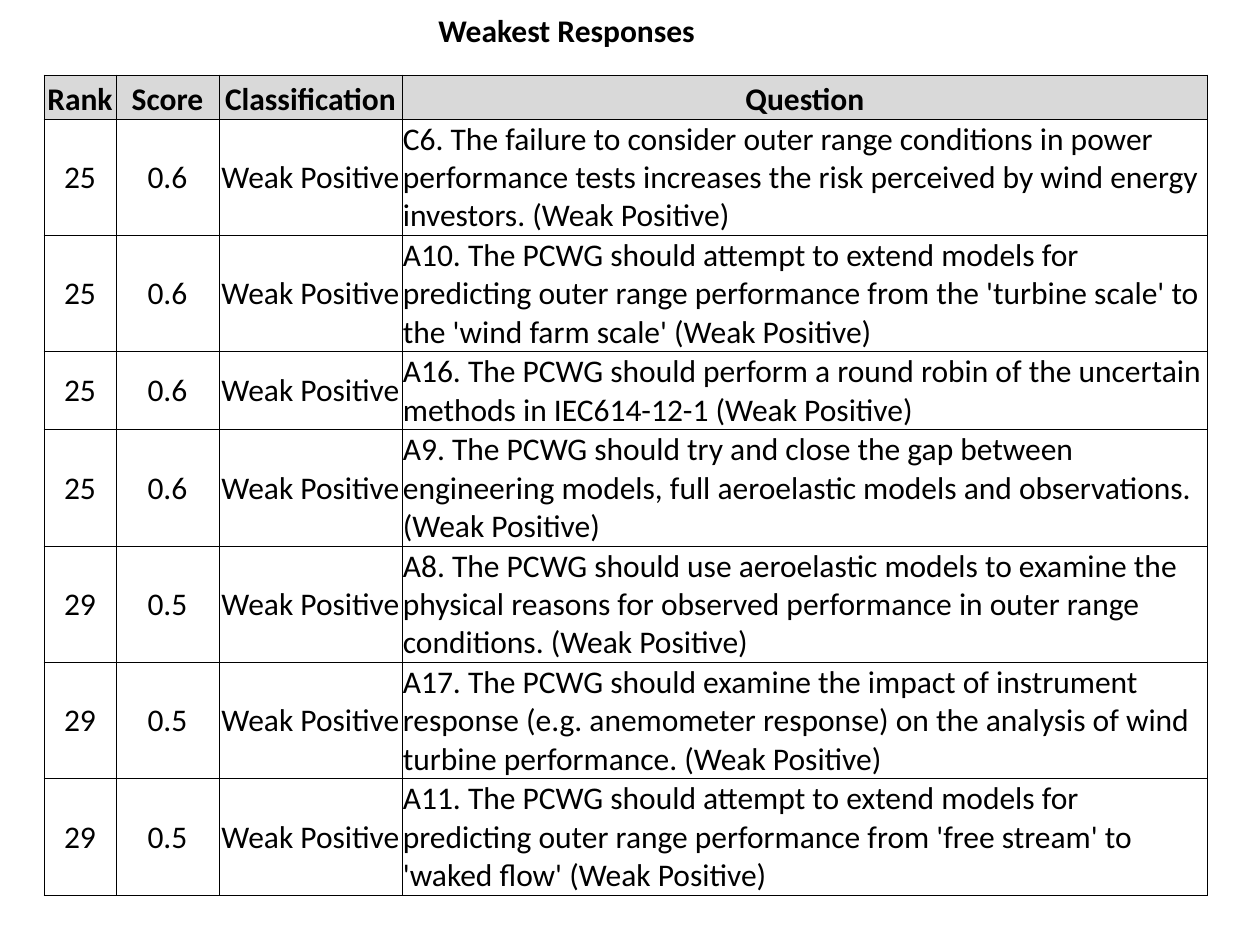
from lxml import etree
from pptx import Presentation
from pptx import util as u
from pptx.dml.color import RGBColor
from pptx.enum import text
from pptx.oxml import ns

PX = u.Inches(1) // 126
FONT = dict(name="Calibri", size=u.Pt(18))
INSETS = dict(margin_left=PX, margin_right=PX, margin_top=PX, margin_bottom=0)


def color(value):
    return RGBColor.from_string(value)


def write(frame, words, bold, align):
    line = frame.paragraphs[0]
    line.alignment = align
    run = line.add_run()
    run.text = words
    for key, value in dict(FONT, bold=bold).items():
        setattr(run.font, key, value)
    run.font.color.rgb = color("000000")


headings = ["Rank", "Score", "Classification", "Question"]
responses = [
    ("25", "0.6", "C6. The failure to consider outer range conditions in power performance tests increases the risk perceived by wind energy investors."),
    ("25", "0.6", "A10. The PCWG should attempt to extend models for predicting outer range performance from the 'turbine scale' to the 'wind farm scale'"),
    ("25", "0.6", "A16. The PCWG should perform a round robin of the uncertain methods in IEC614-12-1"),
    ("25", "0.6", "A9. The PCWG should try and close the gap between engineering models, full aeroelastic models and observations."),
    ("29", "0.5", "A8. The PCWG should use aeroelastic models to examine the physical reasons for observed performance in outer range conditions."),
    ("29", "0.5", "A17. The PCWG should examine the impact of instrument response (e.g. anemometer response) on the analysis of wind turbine performance."),
    ("29", "0.5", "A11. The PCWG should attempt to extend models for predicting outer range performance from 'free stream' to 'waked flow'"),
]
rating = "Weak Positive"
rows = [headings] + [
    [rank, score, rating, f"{question} ({rating})"] for rank, score, question in responses
]
widths = [72, 103, 183, 806]
heights = [44, 116, 116, 77, 116, 116, 116, 116]

deck = Presentation()
deck.slide_width, deck.slide_height = 1260 * PX, 945 * PX
slide = deck.slides.add_slide(deck.slide_layouts[6])

ranking = slide.shapes.add_table(
    len(rows), len(headings), 44 * PX, 75 * PX, sum(widths) * PX, sum(heights) * PX
).table
for column, width in zip(ranking.columns, widths):
    column.width = width * PX
for row, height in zip(ranking.rows, heights):
    row.height = height * PX

for r, entries in enumerate(rows):
    for c, words in enumerate(entries):
        cell = ranking.cell(r, c)
        header, question = r == 0, c == 3
        for key, value in INSETS.items():
            setattr(cell, key, value)
        cell.vertical_anchor = (
            text.MSO_ANCHOR.BOTTOM if header or question else text.MSO_ANCHOR.MIDDLE
        )
        write(
            cell.text_frame, words, header,
            text.PP_ALIGN.LEFT if question and not header else text.PP_ALIGN.CENTER,
        )
        borders = cell._tc.get_or_add_tcPr()
        for side in ("lnL", "lnR", "lnT", "lnB"):
            edge = etree.SubElement(borders, ns.qn(f"a:{side}"), w=str(u.Pt(0.5)))
            ink = etree.SubElement(edge, ns.qn("a:solidFill"))
            etree.SubElement(ink, ns.qn("a:srgbClr"), val="000000")
        if header:
            cell.fill.solid()
            cell.fill.fore_color.rgb = color("D9D9D9")
        else:
            cell.fill.background()

title = slide.shapes.add_textbox(426 * PX, 5 * PX, 283 * PX, 50 * PX).text_frame
title.word_wrap = False
title.auto_size = text.MSO_AUTO_SIZE.SHAPE_TO_FIT_TEXT
write(title, "Weakest Responses", True, text.PP_ALIGN.LEFT)

deck.save("out.pptx")
